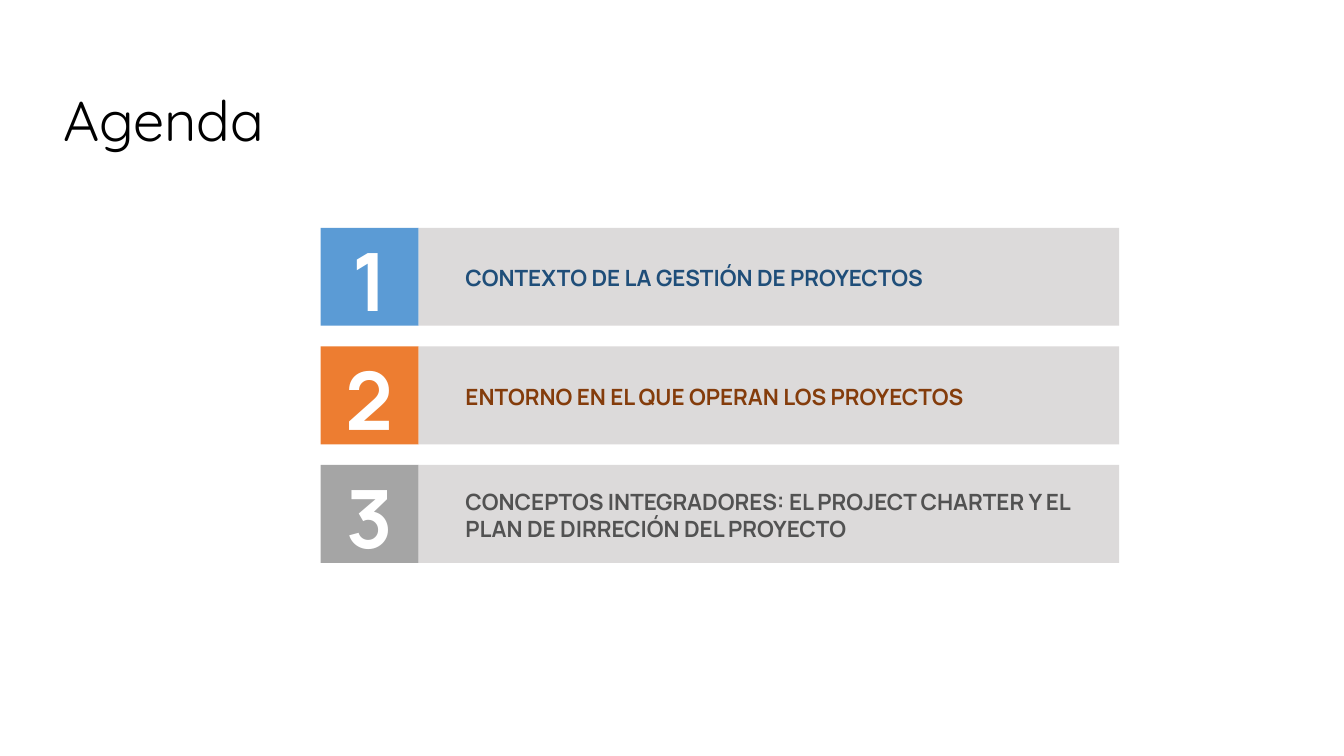
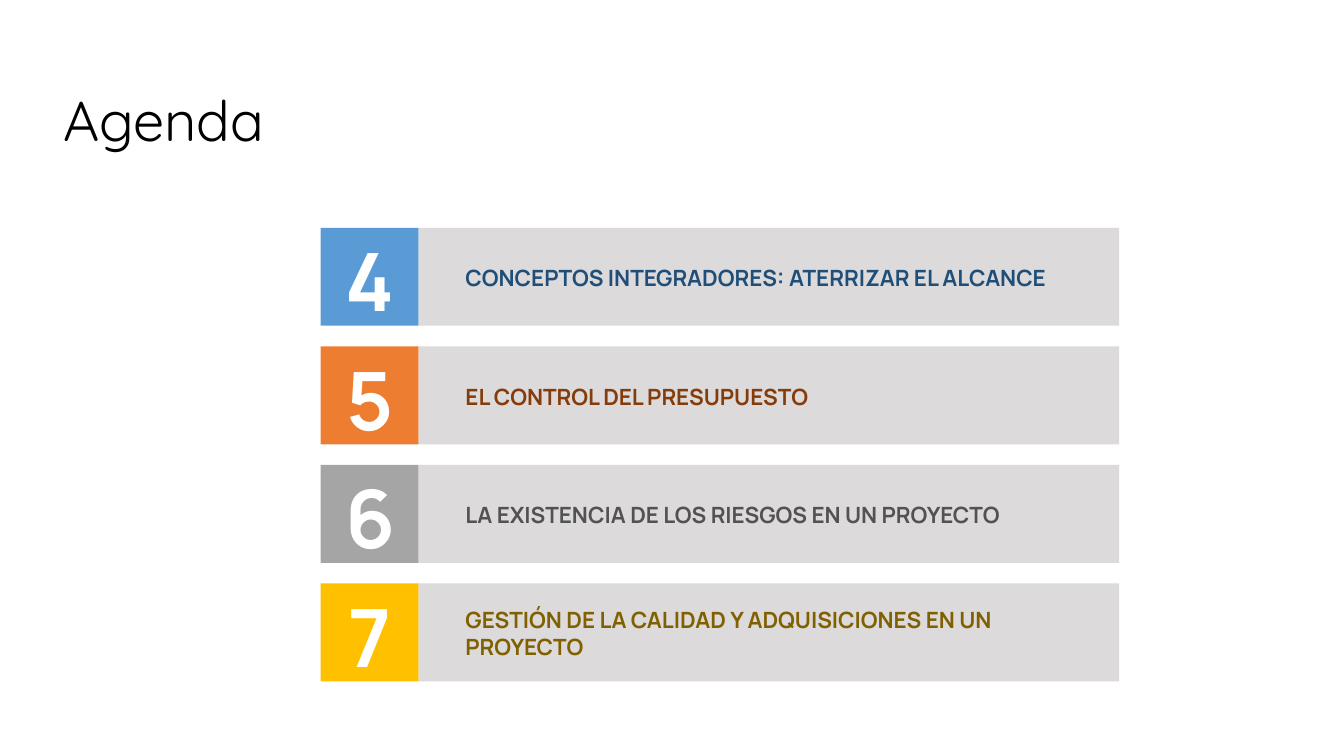
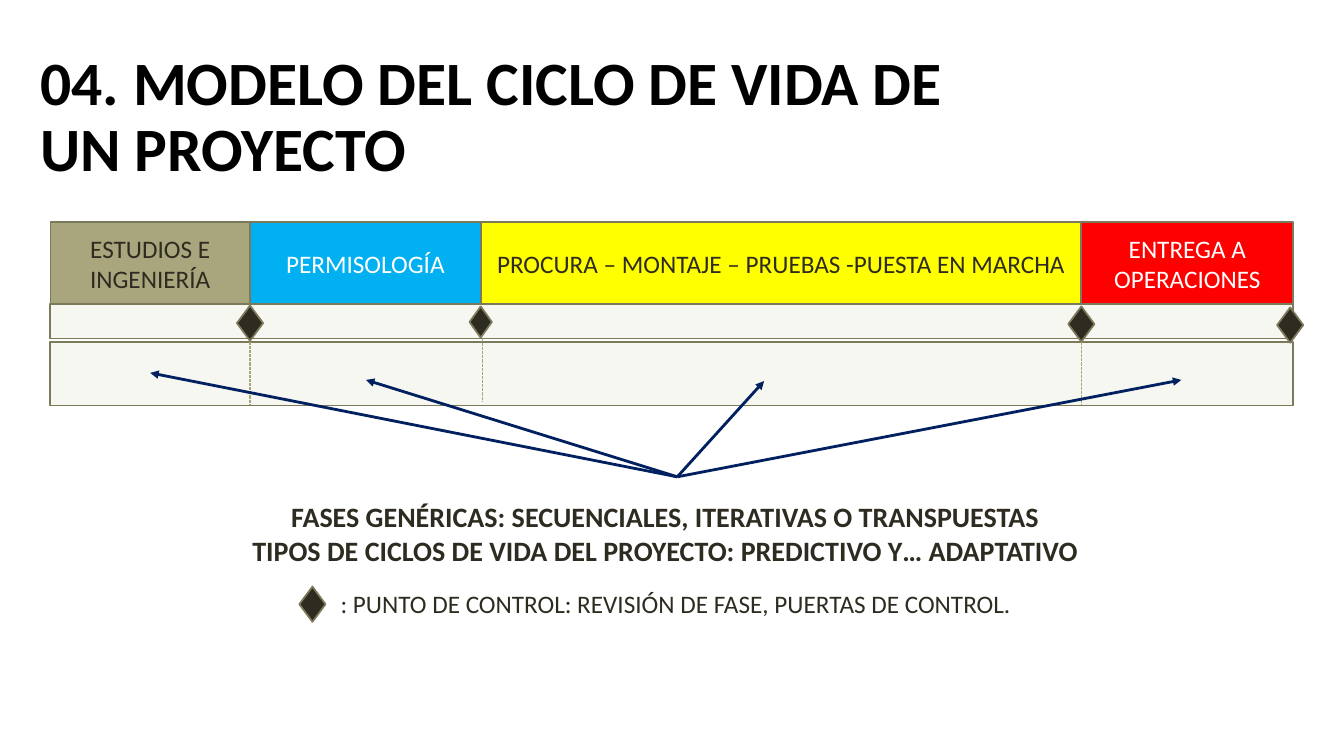
from lxml import etree
from pptx import Presentation
from pptx.dml.color import RGBColor
from pptx.enum import dml, shapes, text
from pptx.oxml.ns import qn
from pptx.util import Pt

INK = "2E2B21"
WHITE = "FFFFFF"
BLACK = "000000"
OUTLINE = "7D7A5C"
OLIVE = "A9A57C"
PALE = "F7F7F2"
NAVY = "002060"
BAR_GREY = "DCDADA"
# Square colour and label colour of each agenda row
ROW_COLORS = [("5B9BD5", "1F4E79"), ("ED7D31", "843C0B"),
              ("A5A5A5", "525252"), ("FFC000", "806000")]

BODY_FONT = "Calibri"
AGENDA_FONT = "Manrope"
AGENDA_TITLE_FONT = "Quicksand"

LEFT, CENTER = text.PP_ALIGN.LEFT, text.PP_ALIGN.CENTER
TOP, MIDDLE = text.MSO_ANCHOR.TOP, text.MSO_ANCHOR.MIDDLE
RECT = shapes.MSO_SHAPE.RECTANGLE
PROCESS = shapes.MSO_SHAPE.FLOWCHART_PROCESS
DECISION = shapes.MSO_SHAPE.FLOWCHART_DECISION


def color(hex_value):
    return RGBColor.from_string(hex_value)


def write(shape, lines, font, size, hex_value, bold=False, align=LEFT, anchor=TOP):
    """Fill a shape's text frame, one paragraph a line."""
    frame = shape.text_frame
    frame.text = "\n".join(lines)
    frame.word_wrap = True
    frame.auto_size = text.MSO_AUTO_SIZE.NONE
    frame.vertical_anchor = anchor
    for para in frame.paragraphs:
        para.alignment = align
        para.font.name = font
        para.font.size = Pt(size)
        para.font.bold = bold
        para.font.color.rgb = color(hex_value)


def add_title(page, wording, box, font, size, spacing=1.0, **style):
    title = page.shapes.title
    title.left, title.top, title.width, title.height = map(Pt, box)
    write(title, [wording], font, size, BLACK, **style)
    title.text_frame.paragraphs[0].line_spacing = spacing


def add_text(page, box, lines, font, size, hex_value, **style):
    textbox = page.shapes.add_textbox(*map(Pt, box))
    write(textbox, lines, font, size, hex_value, **style)


def add_block(page, kind, box, fill, outline=None):
    block = page.shapes.add_shape(kind, *map(Pt, box))
    block.shadow.inherit = False
    block.fill.solid()
    block.fill.fore_color.rgb = color(fill)
    if outline:
        block.line.color.rgb = color(outline)
        block.line.width = Pt(1.25)
    else:
        block.line.fill.background()
    return block


def add_line(page, start, end, hex_value, width):
    connector = page.shapes.add_connector(
        shapes.MSO_CONNECTOR.STRAIGHT, *map(Pt, (*start, *end)))
    connector.line.color.rgb = color(hex_value)
    connector.line.width = Pt(width)
    etree.SubElement(connector._element.spPr, qn("a:effectLst"))
    return connector


def add_arrow(page, start, end):
    arrow = add_line(page, start, end, NAVY, 2)
    etree.SubElement(arrow.line._get_or_add_ln(), qn("a:tailEnd"), type="triangle")


def add_control_point(page, center_x, center_y, width=18.7, height=25.2):
    box = (center_x - width / 2, center_y - height / 2, width, height)
    add_block(page, DECISION, box, INK, OUTLINE)


def new_page(deck):
    return deck.slides.add_slide(deck.slide_layouts[5])


def build_agenda(deck, first_number, topics):
    page = new_page(deck)
    add_title(page, "Agenda", (38.2, 57.6, 577.4, 55.4), AGENDA_TITLE_FONT, 40)
    left, first_top, side, pitch = 229, 162.7, 70, 84.67
    for index, topic in enumerate(topics):
        top = first_top + index * pitch
        square_color, label_color = ROW_COLORS[index]
        add_block(page, RECT, (left, top, side, side), square_color)
        add_block(page, RECT, (left + side, top, 500.4, side), BAR_GREY)
        add_text(page, (left + 10.8, top - 1.4, 48.4, 77), [str(first_number + index)],
                 AGENDA_FONT, 57.5, WHITE, bold=True, align=CENTER, anchor=MIDDLE)
        add_text(page, (325.4, top + 12.6, 459, 46), [topic],
                 AGENDA_FONT, 16, label_color, bold=True, anchor=MIDDLE)


def build_life_cycle(deck):
    page = new_page(deck)
    add_title(page, "04. MODELO DEL CICLO DE VIDA DE UN PROYECTO",
              (21.6, 32.4, 694.8, 104.4), BODY_FONT, 44, spacing=0.9,
              bold=True, anchor=MIDDLE)

    edges = [36, 178.6, 343.4, 772.4, 923.8]
    phases = [("ESTUDIOS E INGENIERÍA", OLIVE, INK),
              ("PERMISOLOGÍA", "00B0F0", WHITE),
              ("PROCURA – MONTAJE – PRUEBAS -PUESTA EN MARCHA", "FFFF00", INK),
              ("ENTREGA A OPERACIONES", "FF0000", WHITE)]
    for start, end, (name, fill, ink) in zip(edges, edges[1:], phases):
        block = add_block(page, PROCESS, (start, 158.6, end - start, 58.8), fill, OUTLINE)
        write(block, [name], BODY_FONT, 18, ink, align=CENTER, anchor=MIDDLE)

    for top, height in [(217.4, 24.4), (244.2, 45.4)]:
        add_block(page, PROCESS, (edges[0], top, edges[-1] - edges[0], height),
                  PALE, OUTLINE)

    add_text(page, (148.3, 353.5, 653.8, 55.7),
             ["FASES GENÉRICAS: SECUENCIALES, ITERATIVAS O TRANSPUESTAS",
              "TIPOS DE CICLOS DE VIDA DEL PROYECTO: PREDICTIVO Y… ADAPTATIVO"],
             BODY_FONT, 20, INK, bold=True, align=CENTER)

    add_control_point(page, edges[1], 230.8)
    add_control_point(page, edges[2], 230, 16, 22.3)
    add_control_point(page, edges[3], 231.5)
    add_control_point(page, 921.6, 232.2)

    for x, top in [(edges[1], 244.2), (344.9, 242), (edges[3], 244.2)]:
        divider = add_line(page, (x, top), (x, top + 45.4), OLIVE, 0.75)
        divider.line.dash_style = dml.MSO_LINE.SQUARE_DOT

    for target in [(107.3, 266.4), (261.4, 271.4), (545.8, 272.2), (843.8, 271.4)]:
        add_arrow(page, (483.8, 340.6), target)

    add_control_point(page, 223.2, 431.6)
    add_text(page, (236.2, 416.9, 535.7, 29),
             [": PUNTO DE CONTROL: REVISIÓN DE FASE, PUERTAS DE CONTROL."],
             BODY_FONT, 18, INK)


def main():
    deck = Presentation()
    deck.slide_width, deck.slide_height = Pt(960), Pt(540)
    build_agenda(deck, 1, [
        "CONTEXTO DE LA GESTIÓN DE PROYECTOS",
        "ENTORNO EN EL QUE OPERAN LOS PROYECTOS",
        "CONCEPTOS INTEGRADORES: EL PROJECT CHARTER Y EL PLAN DE DIRRECIÓN DEL PROYECTO"])
    build_agenda(deck, 4, [
        "CONCEPTOS INTEGRADORES: ATERRIZAR EL ALCANCE",
        "EL CONTROL DEL PRESUPUESTO",
        "LA EXISTENCIA DE LOS RIESGOS EN UN PROYECTO",
        "GESTIÓN DE LA CALIDAD Y ADQUISICIONES EN UN PROYECTO"])
    build_life_cycle(deck)
    deck.save("out.pptx")


if __name__ == "__main__":
    main()
